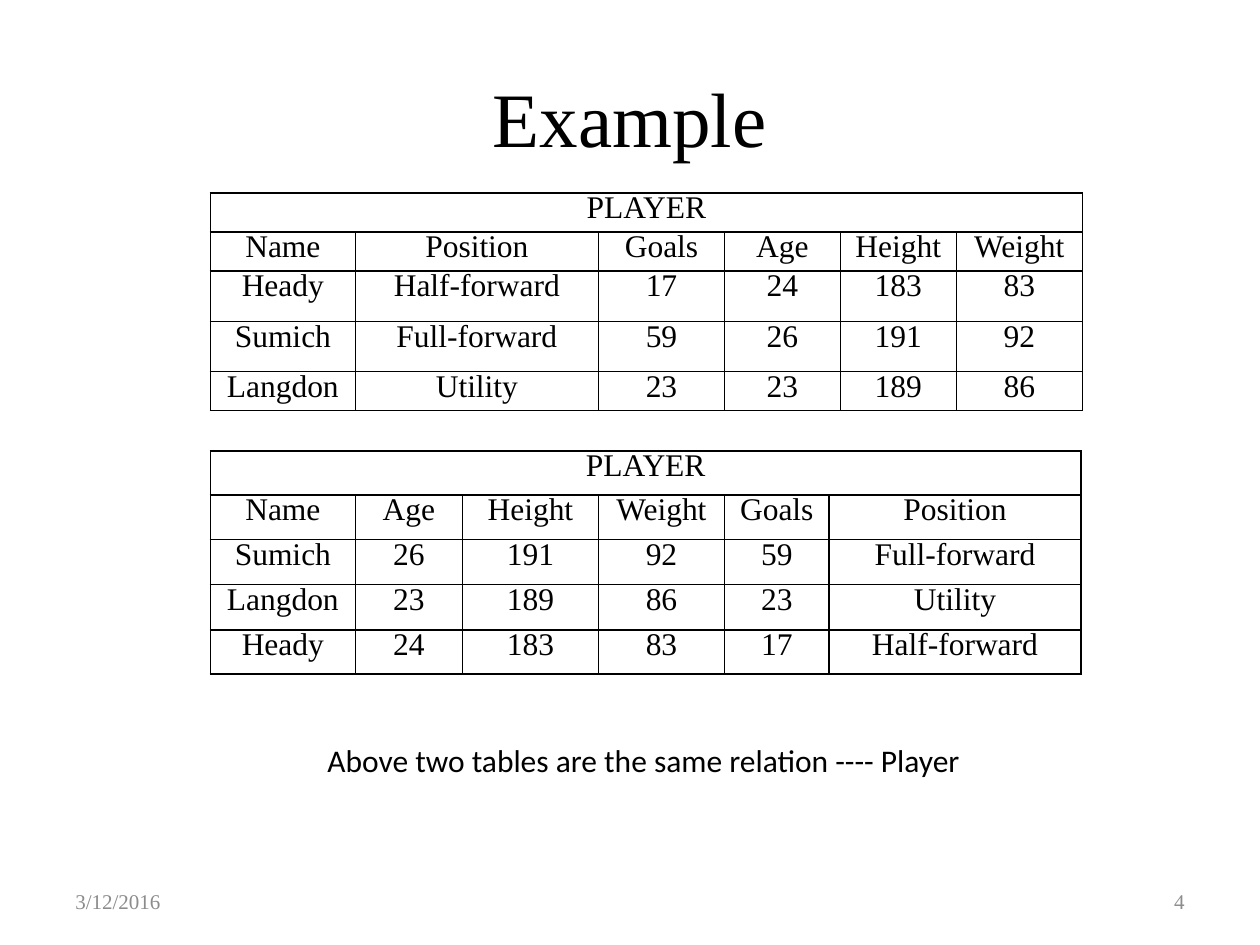
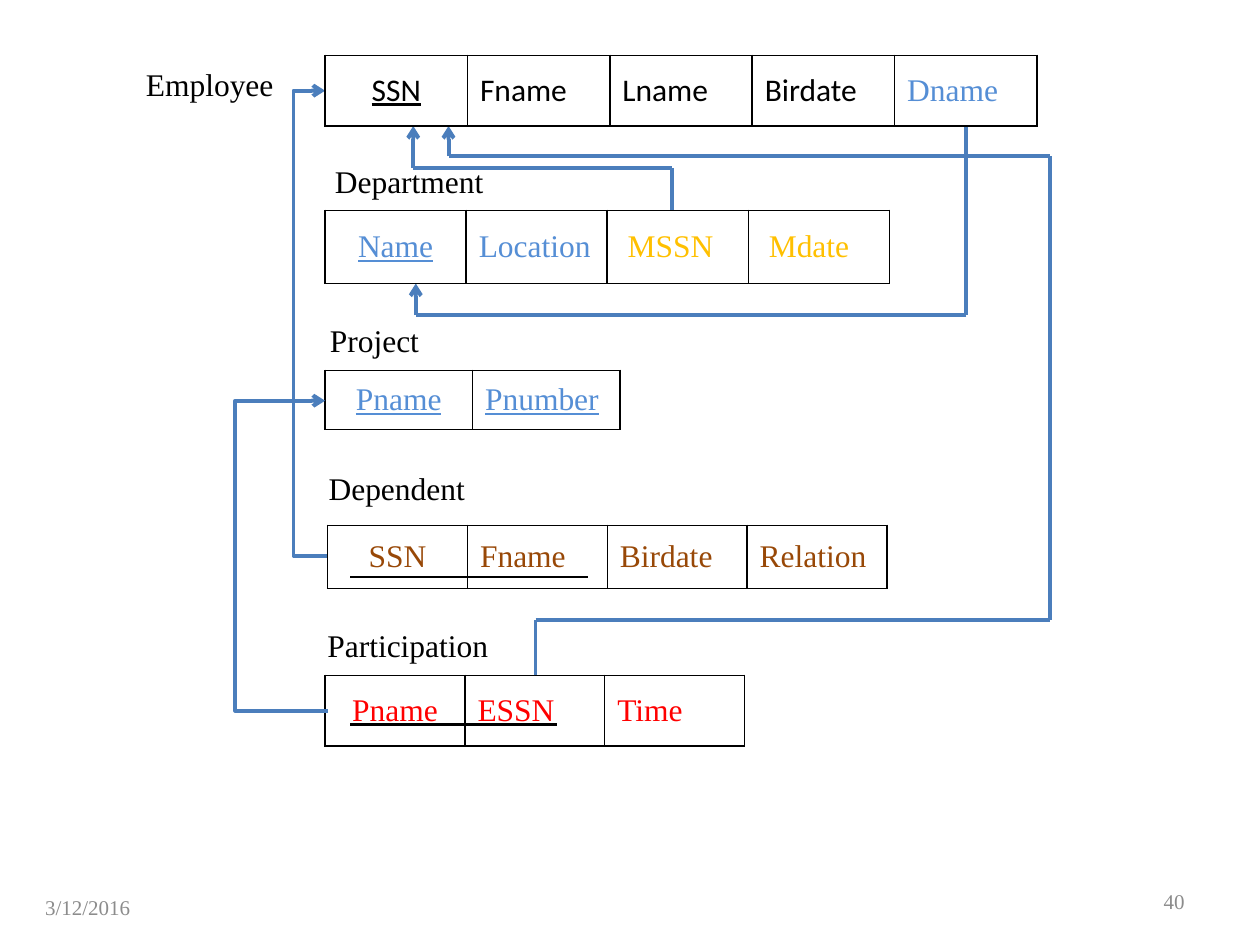
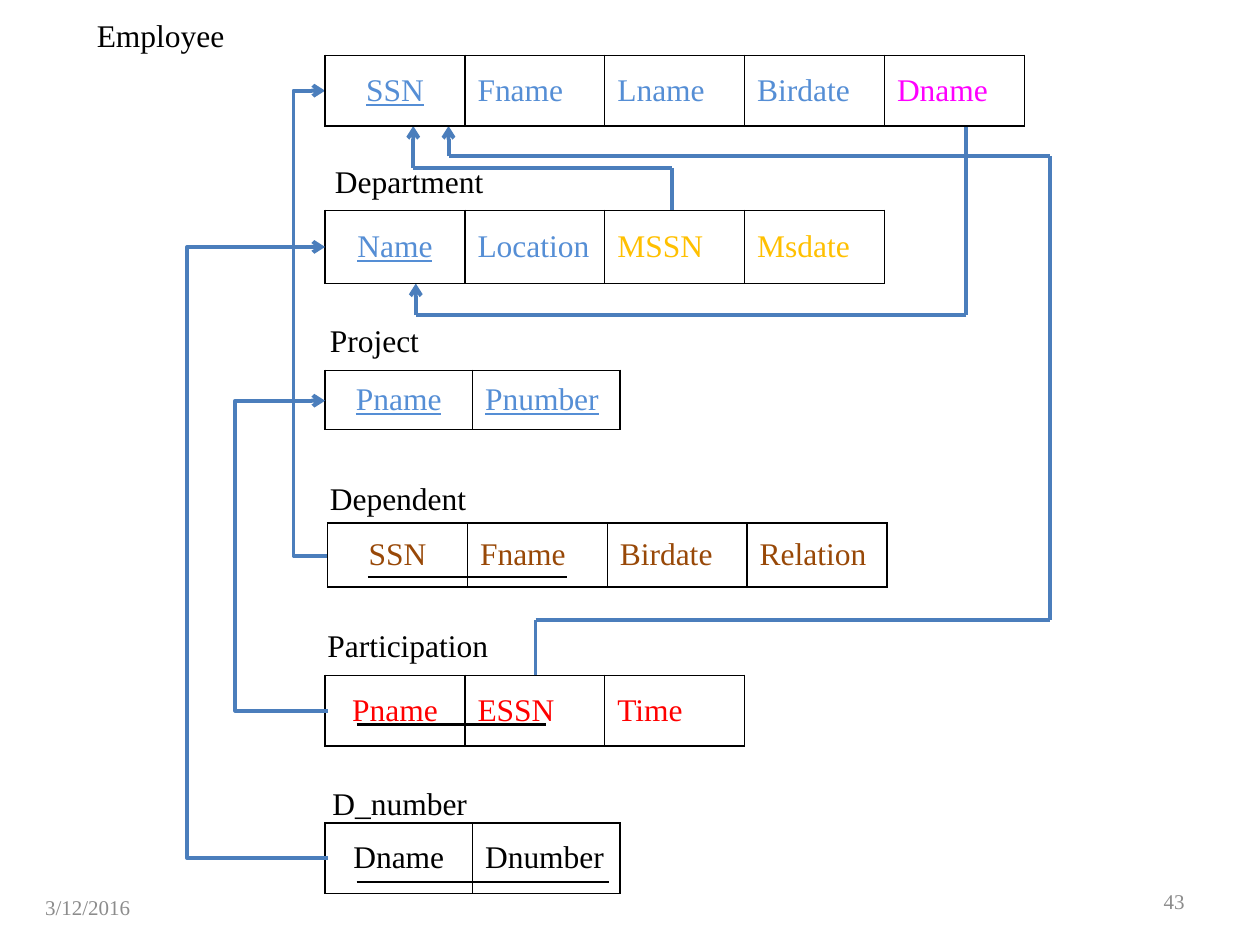
from lxml import etree
from pptx import Presentation
from pptx.dml.color import RGBColor
from pptx.enum.shapes import MSO_CONNECTOR
from pptx.enum.text import MSO_ANCHOR, PP_ALIGN
from pptx.oxml.ns import qn
from pptx.util import Inches, Pt

BLACK = RGBColor(0x00, 0x00, 0x00)
GRAY = RGBColor(0x8C, 0x8C, 0x8C)
BLUE = RGBColor(0x55, 0x8E, 0xD5)
GOLD = RGBColor(0xFF, 0xC0, 0x00)
BROWN = RGBColor(0x98, 0x48, 0x07)
RED = RGBColor(0xFF, 0x00, 0x00)
PINK = RGBColor(0xFF, 0x00, 0xFF)
LINK = RGBColor(0x4B, 0x7E, 0xBC)

SERIF = "Times New Roman"
SANS = "Calibri"
LEFT, CENTER, RIGHT = PP_ALIGN.LEFT, PP_ALIGN.CENTER, PP_ALIGN.RIGHT
TOP, MIDDLE = MSO_ANCHOR.TOP, MSO_ANCHOR.MIDDLE
STRAIGHT, ELBOW = MSO_CONNECTOR.STRAIGHT, MSO_CONNECTOR.ELBOW

EDGE = 2.58  # left side of the relation tables

PLAYERS = {
    "Heady": {"Position": "Half-forward", "Goals": "17", "Age": "24",
              "Height": "183", "Weight": "83"},
    "Sumich": {"Position": "Full-forward", "Goals": "59", "Age": "26",
               "Height": "191", "Weight": "92"},
    "Langdon": {"Position": "Utility", "Goals": "23", "Age": "23",
                "Height": "189", "Weight": "86"},
}


def write(frame, text, size=18, color=BLACK, font=SERIF, align=LEFT, under=False):
    frame.text = text
    para = frame.paragraphs[0]
    para.alignment = align
    style = para.runs[0].font
    style.size, style.name, style.underline = Pt(size), font, under
    style.color.rgb = color
    return para


def add_text(slide, text, left, top, width, height=0.4, anchor=TOP, **style):
    box = slide.shapes.add_textbox(Inches(left), Inches(top), Inches(width), Inches(height))
    frame = box.text_frame
    frame.word_wrap = True
    frame.vertical_anchor = anchor
    write(frame, text, **style)


def add_footer(slide, number, left=0.5, top=6.95):
    add_text(slide, "3/12/2016", left, top, 2.33, anchor=MIDDLE, size=12, color=GRAY)
    add_text(slide, number, 7.17, 6.95, 2.33, anchor=MIDDLE, size=12, color=GRAY, align=RIGHT)


def add_border(cell):
    props = cell._tc.get_or_add_tcPr()
    for spot, side in enumerate(("lnL", "lnR", "lnT", "lnB")):
        line = etree.Element(qn("a:" + side), w=str(Pt(1)))
        fill = etree.SubElement(line, qn("a:solidFill"))
        etree.SubElement(fill, qn("a:srgbClr"), val=str(BLACK))
        props.insert(spot, line)


def add_grid(slide, left, top, cols, rows):
    """Add an unfilled table with thin black borders."""
    frame = slide.shapes.add_table(len(rows), len(cols), Inches(left), Inches(top),
                                   Inches(sum(cols)), Inches(sum(rows)))
    table = frame.table
    table.first_row = table.horz_banding = False
    for col, width in zip(table.columns, cols):
        col.width = Inches(width)
    for row, height in zip(table.rows, rows):
        row.height = Inches(height)
    for cell in table.iter_cells():
        cell.fill.background()
        add_border(cell)
    return table


def add_players(slide, top, cols, rows, fields, names):
    table = add_grid(slide, 1.67, top, cols, rows)
    table.cell(0, 0).merge(table.cell(0, len(cols) - 1))
    lines = [["PLAYER"], ["Name"] + fields]
    lines += [[name] + [PLAYERS[name][field] for field in fields] for name in names]
    for r, line in enumerate(lines):
        for c, text in enumerate(line):
            para = write(table.cell(r, c).text_frame, text, align=CENTER)
            para.line_spacing = Pt(15)


def key(text, color=BLUE, font=SERIF):
    return text, {"color": color, "font": font, "under": True}


def plain(color, *texts, font=SERIF):
    return [(text, {"color": color, "font": font}) for text in texts]


def add_relation(slide, name, spot, top, height, width, fields, left=EDGE):
    """Add a one-row table of fields with its name at the given spot."""
    add_text(slide, name, *spot, 1.56)
    table = add_grid(slide, left, top, [width] * len(fields), [height])
    for c, (text, style) in enumerate(fields):
        cell = table.cell(0, c)
        cell.vertical_anchor = MIDDLE
        write(cell.text_frame, text, align=LEFT if c else CENTER, **style)


def add_line(slide, start, end, color=LINK, width=2.25, arrow=False, kind=STRAIGHT):
    ends = [Inches(value) for value in (*start, *end)]
    line = slide.shapes.add_connector(kind, *ends)
    line.line.color.rgb = color
    line.line.width = Pt(width)
    if arrow:
        etree.SubElement(line.line._get_or_add_ln(), qn("a:tailEnd"), type="arrow")
    etree.SubElement(line._element.spPr, qn("a:effectLst"))
    return line


def add_route(slide, *points, arrow=True):
    """Join the points with straight lines, the last one with an arrowhead."""
    last = len(points) - 2
    for i, (start, end) in enumerate(zip(points, points[1:])):
        add_line(slide, start, end, arrow=arrow and i == last)


def add_loop(slide, low, high, bend):
    """Add an elbow arrow from a lower table, out to bend, to a higher one."""
    right = 2.6
    line = add_line(slide, (EDGE, high), (right, low), arrow=True, kind=ELBOW)
    props = line._element.spPr
    props.find(qn("a:xfrm")).set("rot", "10800000")
    geom = props.find(qn("a:prstGeom"))
    for old in geom.findall(qn("a:avLst")):
        geom.remove(old)
    share = round((right - bend) / (right - EDGE) * 100000)
    guides = etree.SubElement(geom, qn("a:avLst"))
    etree.SubElement(guides, qn("a:gd"), name="adj1", fmla=f"val {share}")


def add_rule(slide, left, right, top):
    """Underline a key that spans several cells."""
    add_line(slide, (left, top), (right, top), BLACK, 1.5)


def add_schema(slide, number):
    """Add the relations and links that both schema slides share."""
    add_footer(slide, number, 0.26, 7)
    add_relation(slide, "Project", (2.52, 2.5), 2.94, 0.47, 1.17,
                 [key("Pname"), key("Pnumber")])
    add_relation(slide, "Participation", (2.5, 4.92), 5.36, 0.56, 1.11,
                 plain(RED, "Pname", "ESSN", "Time"))
    add_route(slide, (5.33, 1.67), (5.33, 1.33), (3.28, 1.33), (3.28, 1))
    add_route(slide, (7.67, 1), (7.67, 2.5), (3.3, 2.5), (3.3, 2.25))
    add_route(slide, (4.25, 5.36), (4.25, 4.92), (8.33, 4.92), (8.33, 1.24),
              (3.56, 1.24), (3.56, 1))
    add_loop(slide, 4.41, 0.72, 2.33)
    add_loop(slide, 5.64, 3.18, 1.87)


def add_staff(slide, spot, width, fields):
    add_relation(slide, "Employee", spot, 0.44, 0.56, width, fields)


def add_unit(slide, width, *dates):
    fields = [key("Name")] + plain(BLUE, "Location") + plain(GOLD, *dates)
    add_relation(slide, "Department", (2.56, 1.24), 1.67, 0.58, width, fields)


def add_kin(slide, spot, top, height):
    add_relation(slide, "Dependent", spot, top, height, 1.11,
                 plain(BROWN, "SSN", "Fname", "Birdate", "Relation"), left=2.6)


def make_players(slide):
    add_text(slide, "Example", 0.5, 0.3, 9, 1.25, MIDDLE, size=44, align=CENTER)
    add_players(slide, 1.53, [1.15, 1.93, 1, 0.92, 0.92, 1],
                [0.31, 0.31, 0.4, 0.4, 0.31],
                ["Position", "Goals", "Age", "Height", "Weight"],
                ["Heady", "Sumich", "Langdon"])
    add_players(slide, 3.58, [1.15, 0.85, 1.08, 1, 0.83, 2],
                [0.35, 0.35, 0.36, 0.36, 0.35],
                ["Age", "Height", "Weight", "Goals", "Position"],
                ["Sumich", "Langdon", "Heady"])
    add_text(slide, "Above two tables are the same relation ---- Player",
             2.5, 5.83, 5.42, font=SANS)
    add_footer(slide, "4")


def make_first(slide):
    add_schema(slide, "40")
    add_staff(slide, (1.06, 0.47), 1.13,
              [key("SSN", BLACK, SANS)]
              + plain(BLACK, "Fname", "Lname", "Birdate", font=SANS)
              + plain(BLUE, "Dname"))
    add_unit(slide, 1.12, " MSSN", " Mdate")
    add_kin(slide, (2.51, 3.67), 4.17, 0.5)
    add_rule(slide, 2.78, 4.67, 4.58)
    add_rule(slide, 2.78, 4.42, 5.75)


def make_second(slide):
    add_schema(slide, "43")
    add_staff(slide, (0.67, 0.08), 1.11,
              [key("SSN")] + plain(BLUE, "Fname", "Lname", "Birdate")
              + plain(PINK, "Dname"))
    add_unit(slide, 1.11, "MSSN", "Msdate")
    add_kin(slide, (2.52, 3.75), 4.15, 0.51)
    add_relation(slide, "D_number", (2.54, 6.17), 6.53, 0.56, 1.17,
                 plain(BLACK, "Dname", "Dnumber"))
    add_loop(slide, 6.81, 1.96, 1.49)
    add_rule(slide, 2.92, 4.5, 4.58)
    add_rule(slide, 2.83, 4.33, 5.75)
    add_rule(slide, 2.83, 4.83, 7)


def main():
    deck = Presentation()
    deck.slide_width, deck.slide_height = Inches(10), Inches(7.5)
    for make in (make_players, make_first, make_second):
        make(deck.slides.add_slide(deck.slide_layouts[6]))
    deck.save("out.pptx")


if __name__ == "__main__":
    main()
